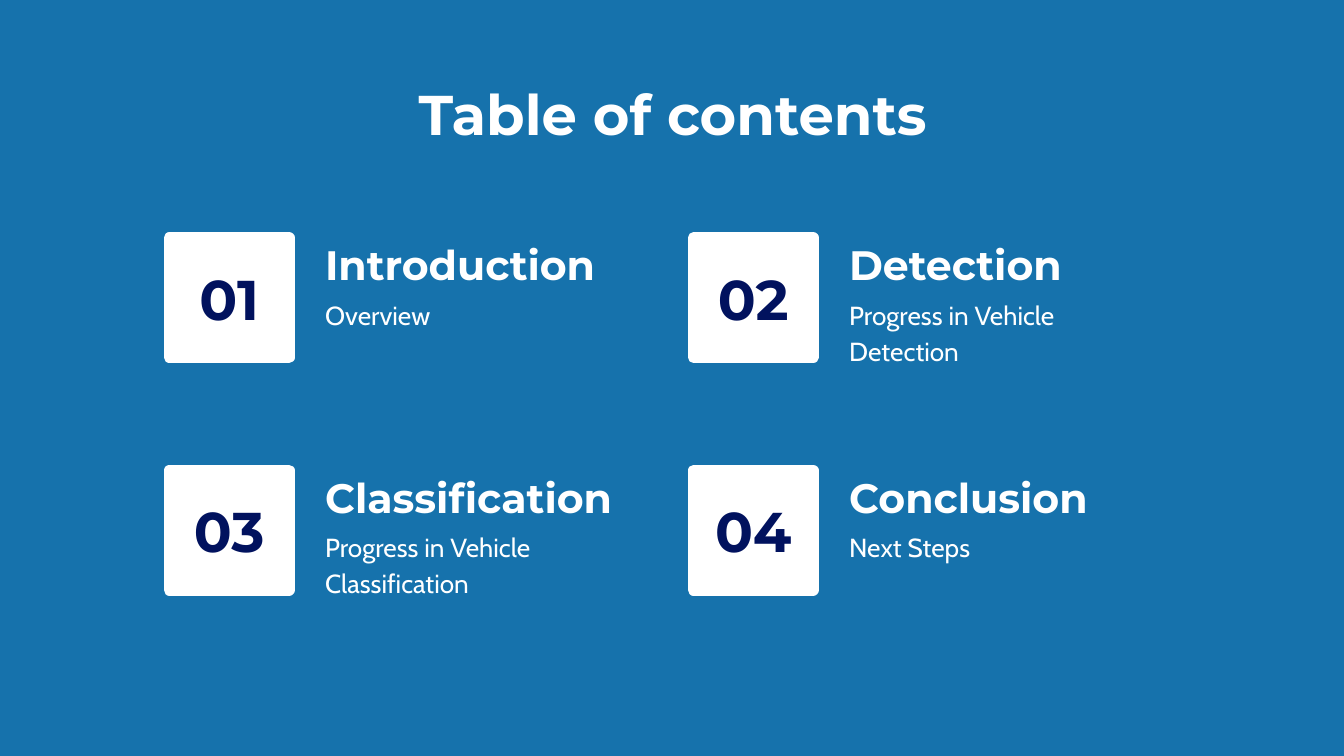
"""Build a table of contents slide with four numbered topics."""
from lxml.etree import SubElement
from pptx import Presentation
from pptx.dml.color import RGBColor
from pptx.enum.shapes import MSO_SHAPE as Shape
from pptx.enum.text import MSO_ANCHOR as Anchor, PP_ALIGN as Align
from pptx.oxml.ns import qn
from pptx.util import Inches, Pt

BLUE = RGBColor(0x16, 0x72, 0xAC)
NAVY = RGBColor(0x01, 0x12, 0x5E)
WHITE = RGBColor(0xFF, 0xFF, 0xFF)

TOPICS = [
    ("Introduction", "Overview"),
    ("Detection", "Progress in Vehicle Detection"),
    ("Classification", "Progress in Vehicle Classification"),
    ("Conclusion", "Next Steps"),
]


def write(shape, text, size=30, font="Montserrat", color=WHITE, bold=True,
          align=Align.LEFT, anchor=Anchor.TOP, space=1.0):
    frame = shape.text_frame
    frame.word_wrap = True
    frame.vertical_anchor = anchor
    frame.margin_left = frame.margin_right = Inches(0.1)
    frame.margin_top = frame.margin_bottom = Inches(0.1)
    para = frame.paragraphs[0]
    para.alignment = align
    para.line_spacing = space
    run = para.add_run()
    run.text = text
    run.font.size = Pt(size)
    run.font.name = font
    run.font.bold = bold
    run.font.color.rgb = color


class Deck:
    def __init__(self):
        self.prs = Presentation()
        self.prs.slide_width = Inches(10)
        self.prs.slide_height = Inches(10) * 9 // 16
        self.slide = self.prs.slides.add_slide(self.prs.slide_layouts[5])
        fill = self.slide.background.fill
        fill.solid()
        fill.fore_color.rgb = BLUE

    def title(self, text):
        shape = self.slide.shapes.title
        shape.left, shape.top = Inches(0.79), Inches(0.49)
        shape.width, shape.height = Inches(8.43), Inches(0.63)
        write(shape, text, align=Align.CENTER)

    def label(self, text, left, top, height, **style):
        box = self.slide.shapes.add_textbox(
            Inches(left), Inches(top), Inches(2.52), Inches(height))
        write(box, text, space=1.15, **style)

    def tile(self, text, left, top):
        side = Inches(0.89)
        box = self.slide.shapes.add_shape(
            Shape.RECTANGLE, Inches(left), Inches(top), side, side)
        box.shadow.inherit = False
        box.fill.solid()
        box.fill.fore_color.rgb = WHITE
        box.line.color.rgb = WHITE
        box.line.width = Pt(6)
        SubElement(box.element.spPr.find(qn("a:ln")), qn("a:round"))
        write(box, text, color=NAVY, align=Align.CENTER, anchor=Anchor.MIDDLE)

    def topic(self, num, head, note):
        row, col = divmod(num - 1, 2)
        left, top = 1.26 + 3.9 * col, 1.77 + 1.73 * row
        self.tile(f"{num:02}", left, top)
        self.label(head, left + 1.06, top - 0.05, 0.53,
                   size=22, anchor=Anchor.BOTTOM)
        self.label(note, left + 1.06, top + 0.32, 0.63,
                   size=14, font="Cabin", bold=False)


def main():
    deck = Deck()
    deck.title("Table of contents")
    for num, (head, note) in enumerate(TOPICS, 1):
        deck.topic(num, head, note)
    deck.prs.save("out.pptx")


if __name__ == "__main__":
    main()
